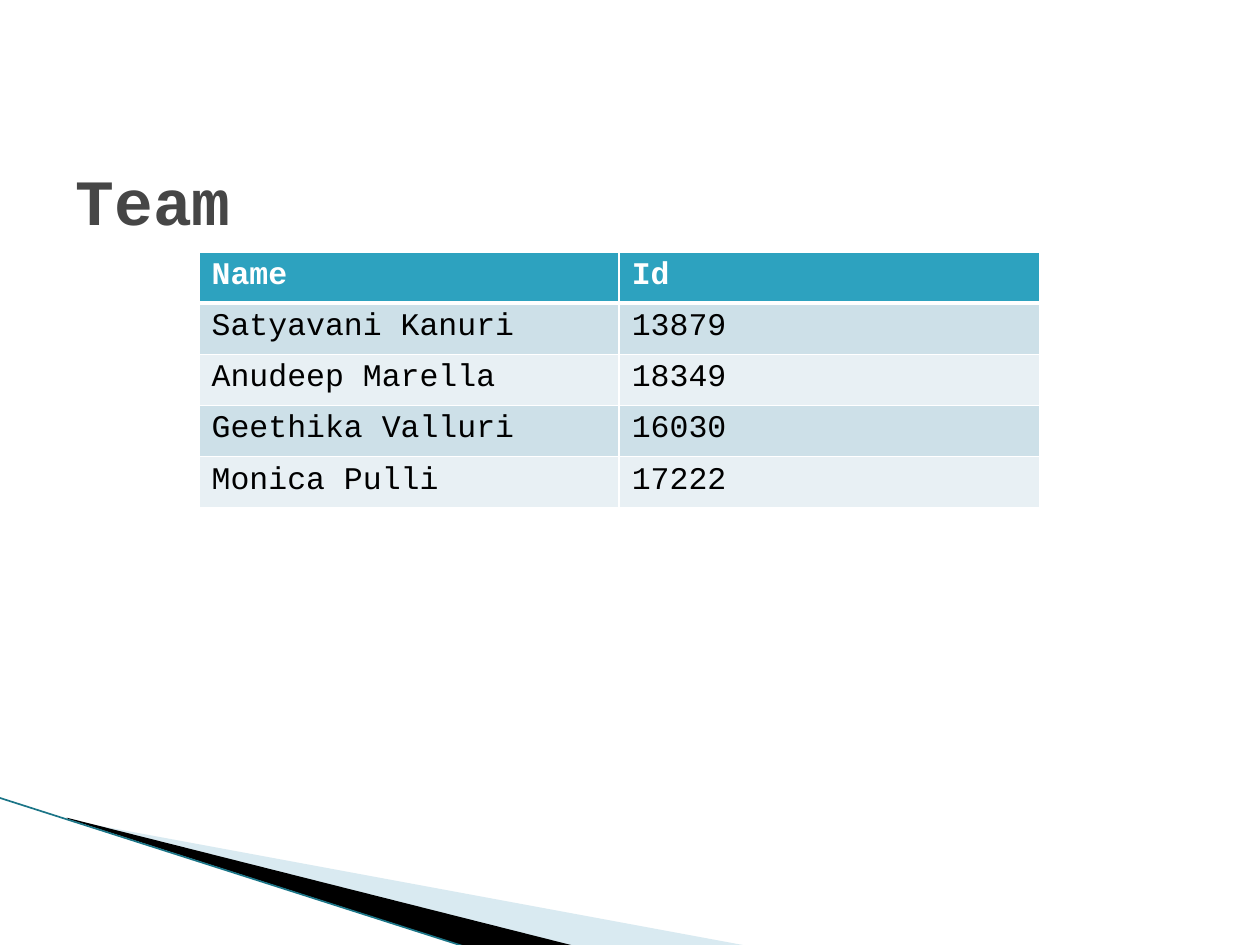
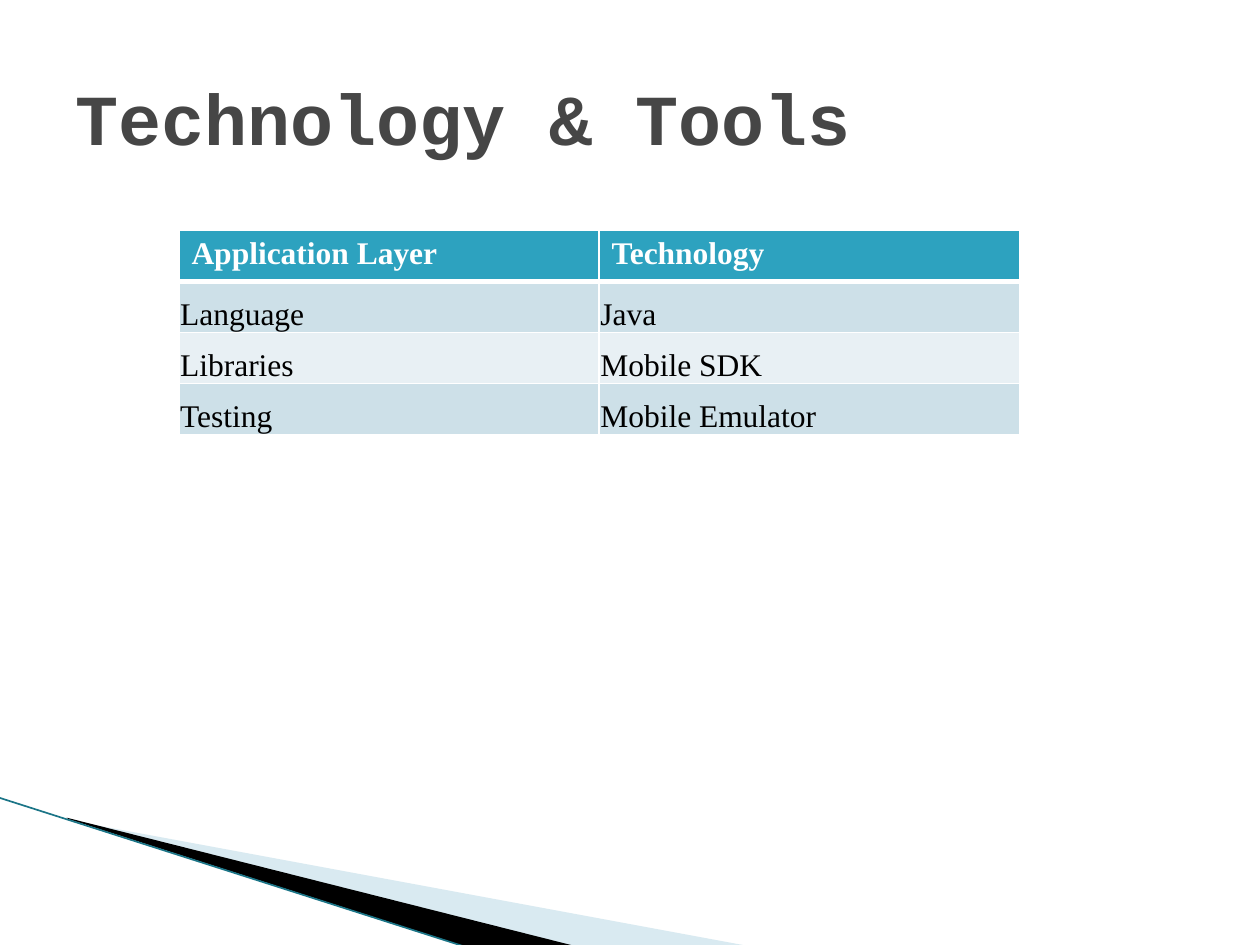
from dataclasses import dataclass

from lxml import etree
from pptx import Presentation
from pptx import util as u
from pptx.dml import color
from pptx.enum import shapes, text
from pptx.oxml import ns

WHITE, BLACK, TITLE_GREY = "FFFFFF", "000000", "464646"
HEADER_TEAL, LINE_TEAL, PALE_BLUE = "2DA2BF", "1B7587", "A0CBDC"
ROW_BANDS = ("CDE0E8", "E8F0F4")
MONO, SERIF = "Courier New", "Times New Roman"


@dataclass(frozen=True)
class Wedge:
    points: tuple[tuple[float, float], ...]
    fill: str
    opacity: int = 100


@dataclass(frozen=True)
class TablePage:
    title: str
    title_top: float
    title_height: float
    title_size: float
    table_left: float
    table_top: float
    table_height: float
    font: str
    rows: tuple[tuple[str, str], ...]
    tight_body: bool = False


WEDGES = (
    Wedge(((0.55, 6.51), (5.95, 7.51), (4.56, 7.51), (0.55, 6.5)), PALE_BLUE, 40),
    Wedge(((0.53, 6.49), (4.57, 7.51), (3.72, 7.52), (0.54, 6.5)), BLACK),
)

PAGES = (
    TablePage("Team", 1.25, 0.67, 36.9, 1.58, 2, 2.03, MONO, (
        ("Name", "Id"),
        ("Satyavani Kanuri", "13879"),
        ("Anudeep Marella", "18349"),
        ("Geethika Valluri", "16030"),
        ("Monica Pulli", "17222"),
    )),
    TablePage("Technology & Tools", 0.3, 1.25, 41, 1.42, 1.83, 1.62, SERIF, (
        ("Application Layer", "Technology"),
        ("Language", "Java"),
        ("Libraries", "Mobile SDK"),
        ("Testing", "Mobile Emulator"),
    ), tight_body=True),
)


def rgb(value: str) -> color.RGBColor:
    return color.RGBColor.from_string(value)


def write(frame, words: str, *, font: str, size: float, ink: str, bold: bool = False) -> None:
    paragraph = frame.paragraphs[0]
    paragraph.alignment = text.PP_ALIGN.LEFT
    run = paragraph.add_run()
    run.text = words
    run.font.name = font
    run.font.size = u.Pt(size)
    run.font.bold = bold
    run.font.color.rgb = rgb(ink)


def draw_wedge(slide, wedge: Wedge) -> None:
    start, *rest = [(u.Inches(x), u.Inches(y)) for x, y in wedge.points]
    builder = slide.shapes.build_freeform(*start)
    builder.add_line_segments(rest, close=True)
    outline = builder.convert_to_shape()
    outline.shadow.inherit = False
    outline.line.fill.background()
    outline.fill.solid()
    outline.fill.fore_color.rgb = rgb(wedge.fill)
    if wedge.opacity < 100:
        tint = outline.fill._xPr.find(".//" + ns.qn("a:srgbClr"))
        etree.SubElement(tint, ns.qn("a:alpha"), val=str(wedge.opacity * 1000))


def draw_corner(slide) -> None:
    for wedge in WEDGES:
        draw_wedge(slide, wedge)
    edge = slide.shapes.add_connector(
        shapes.MSO_CONNECTOR.STRAIGHT,
        u.Inches(-0.01), u.Inches(6.33), u.Inches(3.71), u.Inches(7.52))
    edge.line.color.rgb = rgb(LINE_TEAL)
    edge.line.width = u.Pt(0.95)
    etree.SubElement(edge._element.spPr, ns.qn("a:effectLst"))


def add_borders(cell, top: float, bottom: float) -> None:
    properties = cell._tc.get_or_add_tcPr()
    for side, width in (("L", 1), ("R", 1), ("T", top), ("B", bottom)):
        border = etree.SubElement(properties, ns.qn(f"a:ln{side}"), w=str(u.Pt(width)))
        fill = etree.SubElement(border, ns.qn("a:solidFill"))
        etree.SubElement(fill, ns.qn("a:srgbClr"), val=WHITE)


def draw_table(slide, page: TablePage) -> None:
    grid = slide.shapes.add_table(
        len(page.rows), len(page.rows[0]), u.Inches(page.table_left),
        u.Inches(page.table_top), u.Inches(6.67), u.Inches(page.table_height)).table
    for r, entries in enumerate(page.rows):
        header = r == 0
        for c, words in enumerate(entries):
            cell = grid.cell(r, c)
            add_borders(cell, top=3 if r == 1 else 1, bottom=3 if header else 1)
            cell.fill.solid()
            cell.fill.fore_color.rgb = rgb(HEADER_TEAL if header else ROW_BANDS[(r - 1) % 2])
            if page.tight_body and not header:
                cell.vertical_anchor = text.MSO_ANCHOR.BOTTOM
                cell.margin_left = cell.margin_right = cell.margin_top = u.Inches(0.01)
                cell.margin_bottom = 0
            write(cell.text_frame, words, font=page.font, size=18,
                  ink=WHITE if header else BLACK, bold=header)


def draw_title(slide, page: TablePage) -> None:
    title = slide.shapes.title
    title.left, title.top = u.Inches(0.5), u.Inches(page.title_top)
    title.width, title.height = u.Inches(9), u.Inches(page.title_height)
    title.text_frame.auto_size = text.MSO_AUTO_SIZE.NONE
    title.text_frame.vertical_anchor = text.MSO_ANCHOR.MIDDLE
    write(title.text_frame, page.title, font=MONO, size=page.title_size,
          ink=TITLE_GREY, bold=True)


def main() -> None:
    deck = Presentation()
    deck.slide_width, deck.slide_height = u.Inches(10), u.Inches(7.5)
    title_only = deck.slide_layouts[5]
    for page in PAGES:
        slide = deck.slides.add_slide(title_only)
        draw_corner(slide)
        draw_title(slide, page)
        draw_table(slide, page)
    deck.save("out.pptx")


if __name__ == "__main__":
    main()
